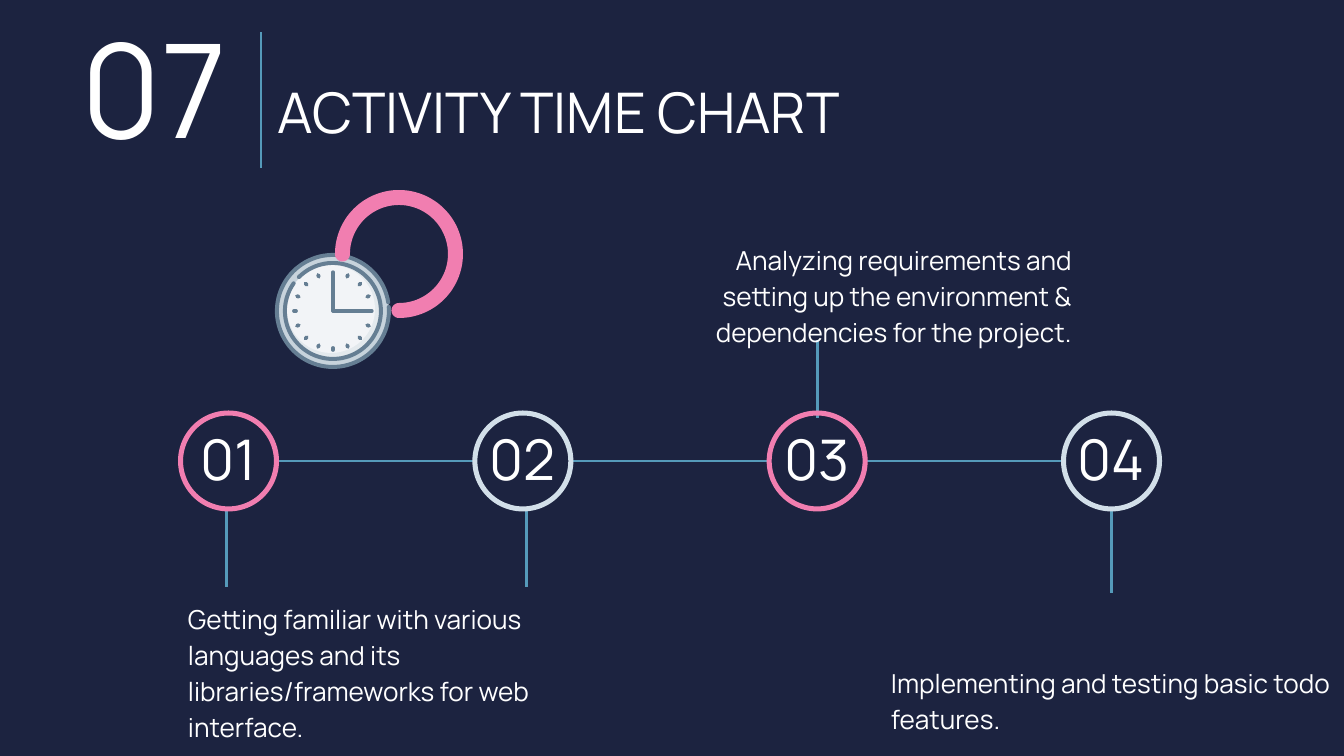
from math import cos, sin, radians

from lxml.etree import SubElement
from pptx import Presentation
from pptx.dml.color import RGBColor
from pptx.enum.shapes import MSO_CONNECTOR as CONNECTOR, MSO_SHAPE as SHAPE
from pptx.enum.text import MSO_ANCHOR as ANCHOR, PP_ALIGN as ALIGN
from pptx.oxml.ns import qn
from pptx.util import Emu, Pt

NAVY = RGBColor(0x1C, 0x23, 0x40)
WHITE = RGBColor(0xFF, 0xFF, 0xFF)
BLUE = RGBColor(0x55, 0x9A, 0xBA)
PINK = RGBColor(0xF1, 0x7E, 0xB0)
PALE = RGBColor(0xD2, 0xDF, 0xE9)
SLATE = RGBColor(0x65, 0x7E, 0x93)
RIM = RGBColor(0xC7, 0xD3, 0xDC)
FACE = RGBColor(0xF2, 0xF4, 0xF7)
SHADE = RGBColor(0xE3, 0xE9, 0xED)
FONT = "Manrope"
SCALE = 914400 / 134.4


def px(length):
    """Turn pixels into EMU."""
    return Emu(round(length * SCALE))


def paint(shape, color):
    """Give a shape a plain fill without outline or shadow."""
    shape.shadow.inherit = False
    shape.fill.solid()
    shape.fill.fore_color.rgb = color
    shape.line.fill.background()


def add_text(page, box, text, size, align=ALIGN.LEFT, anchor=ANCHOR.TOP, spacing=None, after=None):
    """Write one wrapped paragraph into a box."""
    frame = page.shapes.add_textbox(*map(px, box)).text_frame
    frame.word_wrap = True
    frame.vertical_anchor = anchor
    frame.margin_left = frame.margin_right = frame.margin_top = frame.margin_bottom = px(13)
    frame.text = text
    para = frame.paragraphs[0]
    para.alignment = align
    para.line_spacing = spacing
    para.space_after = after
    span = para.runs[0]
    span.font.name = FONT
    span.font.size = Pt(size)
    span.font.color.rgb = WHITE


def add_line(page, start, end, color=BLUE, width=1.5, cap="flat"):
    """Draw a straight line between two points."""
    line = page.shapes.add_connector(CONNECTOR.STRAIGHT, *map(px, (*start, *end)))
    line.line.color.rgb = color
    line.line.width = Pt(width)
    line.line._get_or_add_ln().set("cap", cap)
    SubElement(line._element.spPr, qn("a:effectLst"))


def add_disc(page, center, radius, color):
    """Draw a filled circle around a centre."""
    x, y = center
    box = (x - radius, y - radius, 2 * radius, 2 * radius)
    paint(page.shapes.add_shape(SHAPE.OVAL, *map(px, box)), color)


def polar(center, radius, angle):
    """Return the point at an angle, clockwise from the right."""
    turn = radians(angle)
    return center[0] + radius * cos(turn), center[1] + radius * sin(turn)


def add_band(page, center, radius, width, start, sweep, color):
    """Draw a circular band with round ends."""
    end, cap = start + sweep, width / 2
    tail, head = polar(center, radius, start), polar(center, radius, end)
    points = [polar(center, radius + cap, start + sweep * i / 90) for i in range(91)]
    points += [polar(head, cap, end + 15 * i) for i in range(1, 12)]
    points += [polar(center, radius - cap, end - sweep * i / 90) for i in range(91)]
    points += [polar(tail, cap, start + 180 + 15 * i) for i in range(1, 12)]
    corners = [(px(x), px(y)) for x, y in points]
    builder = page.shapes.build_freeform(*corners[0])
    builder.add_line_segments(corners[1:], close=True)
    paint(builder.convert_to_shape(), color)


def build_header(page, box):
    """Place the section number, divider and title."""
    x, y, width, height = box
    add_text(page, (x, y, 258, 130), "07", 70)
    add_line(page, (x + 192, y + 37), (x + 192, y + height))
    add_text(page, (x + 196, y + 70, width - 196, 116), "ACTIVITY TIME CHART", 30)


def build_clock(page, box):
    """Place the clock and the pink arc behind its corner."""
    x, y, width, height = box
    center = (x + 58, y + height - 58)
    add_disc(page, center, 56, RIM)
    add_disc(page, center, 47, SHADE)
    add_disc(page, (center[0] - 2, center[1] - 2), 44, FACE)
    add_band(page, center, 56, 4, -4, 355, SLATE)
    add_band(page, center, 48, 4, 225, 350, SLATE)
    for step in range(1, 16):
        if step != 12:
            angle = step * 22.5
            add_line(page, polar(center, 37, angle), polar(center, 39, angle), SLATE, 2, "rnd")
    for angle in (0, -90):
        add_line(page, center, polar(center, 39, angle), SLATE, 1.75, "rnd")
    add_band(page, (x + width - 64, y + 64), 56.5, 15, 180, 270, PINK)


def build_timeline(page, box):
    """Place four numbered rings, their links, stems and captions."""
    x, y, width, height = box
    ring, axis = 101, y + 234
    step = (width - ring) / 3
    centers = [x + ring / 2 + step * i for i in range(4)]
    for center in centers[:-1]:
        add_line(page, (center + 48, axis), (center + step - 46, axis))
    stems = [(-2, 47, 126), (4, 47, 126), (0, -121, -43), (0, 48, 132)]
    for i, (center, (shift, top, bottom)) in enumerate(zip(centers, stems)):
        add_line(page, (center + shift, axis + top), (center + shift, axis + bottom))
        corner = (center - ring / 2, axis - ring / 2)
        circle = page.shapes.add_shape(SHAPE.DONUT, *map(px, (*corner, ring, ring)))
        circle.adjustments[0] = 0.05
        paint(circle, PALE if i % 2 else PINK)
        add_text(page, (center - 67, axis - 45, 134, 85), f"{i + 1:02}", 30, ALIGN.CENTER, ANCHOR.MIDDLE)
    captions = [
        ((-3, 359, 438, 125), "Getting familiar with various languages and its "
         "libraries/frameworks for web interface.", ALIGN.LEFT, ANCHOR.TOP, Pt(16)),
        ((485, 0, 422, 125), "Analyzing requirements and setting up the environment & "
         "dependencies for the project.", ALIGN.RIGHT, ANCHOR.TOP, None),
        ((700, 397, 487, 124), "Implementing and testing basic todo features.",
         ALIGN.LEFT, ANCHOR.BOTTOM, Pt(16)),
    ]
    for (left, top, *size), text, align, anchor, after in captions:
        add_text(page, (x + left, y + top, *size), text, 14, align, anchor, 1.15, after)


def main():
    """Build the activity time chart slide."""
    deck = Presentation()
    deck.slide_width, deck.slide_height = px(1344), px(756)
    page = deck.slides.add_slide(deck.slide_layouts[6])
    page.background.fill.solid()
    page.background.fill.fore_color.rgb = NAVY
    build_header(page, (69, -5, 997, 173))
    build_clock(page, (275, 190, 188, 179))
    build_timeline(page, (178, 227, 984, 521))
    deck.save("out.pptx")


if __name__ == "__main__":
    main()
